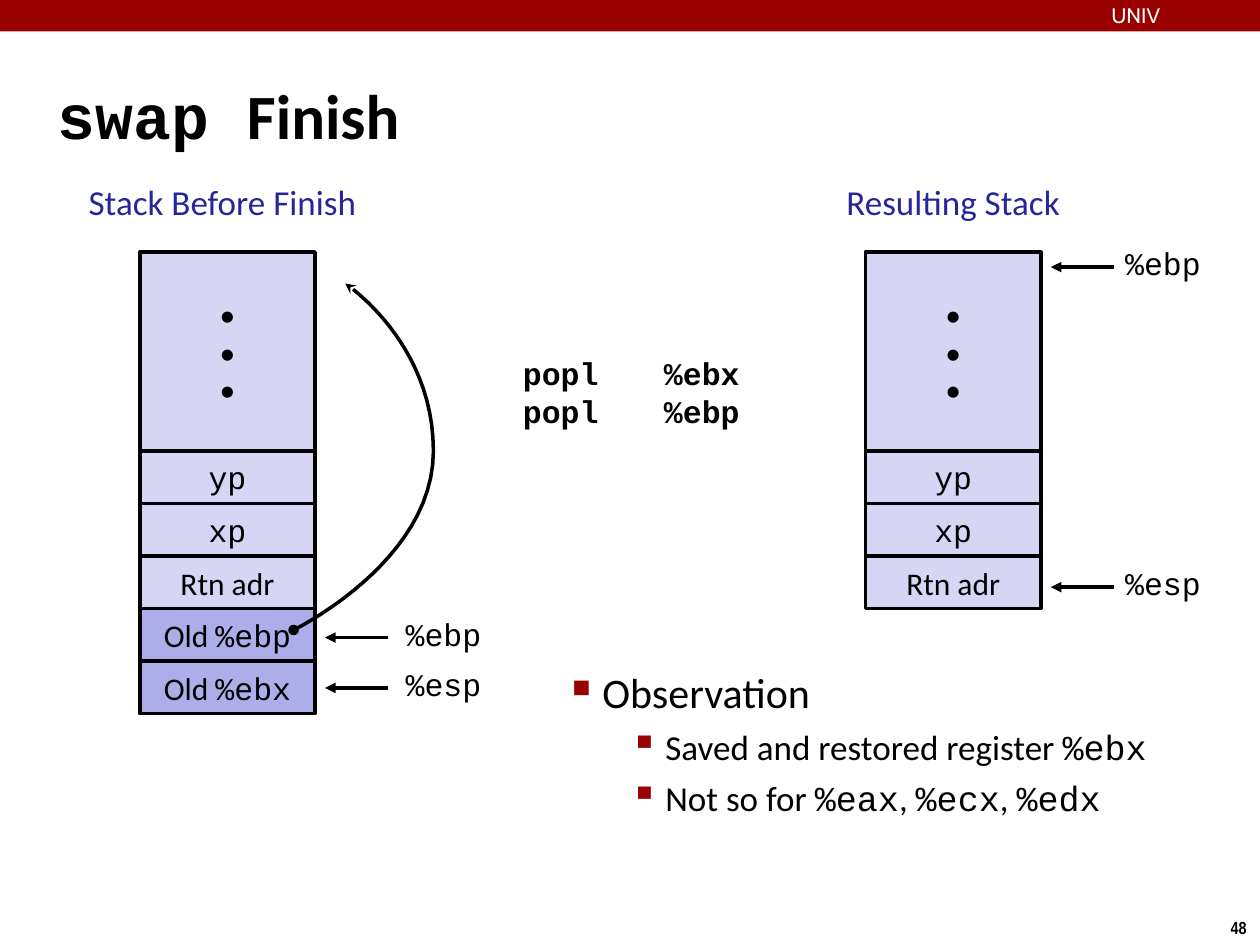
import pptx
import pptx.util
import pptx.dml.color
import pptx.enum.shapes
import pptx.enum.text
import pptx.oxml.ns
import lxml.etree

Inches = pptx.util.Inches
Pt = pptx.util.Pt
RGBColor = pptx.dml.color.RGBColor
Align = pptx.enum.text.PP_ALIGN
Anchor = pptx.enum.text.MSO_ANCHOR
qn = pptx.oxml.ns.qn

BLACK = RGBColor(0, 0, 0)
WHITE = RGBColor(255, 255, 255)
RED = RGBColor(0x99, 0, 0)
BLUE = RGBColor(0x26, 0x26, 0x99)
PALE = RGBColor(0xD6, 0xD6, 0xF4)
LILAC = RGBColor(0xAD, 0xAD, 0xEA)
SANS = "Calibri"
MONO = "Courier New"
ROW_HEIGHT = 0.417
TOP_HEIGHT = 1.58
STACK_WIDTH = 1.39
ARGUMENTS = [("yp", MONO, PALE), ("xp", MONO, PALE), ("Rtn adr", SANS, PALE)]


def add_element(parent, tag, **attributes):
    element = lxml.etree.SubElement(parent, qn(tag))
    for name, value in attributes.items():
        element.set(name, str(value))
    return element


def write_text(shape, paragraphs, font=SANS, size=18, color=BLACK, bold=False,
               align=Align.LEFT, anchor=Anchor.TOP, inset=0, wrap=True):
    frame = shape.text_frame
    frame.word_wrap = wrap
    frame.vertical_anchor = anchor
    frame.margin_left = frame.margin_right = Inches(inset)
    frame.margin_top = frame.margin_bottom = Inches(inset)
    for index, runs in enumerate(paragraphs):
        paragraph = frame.paragraphs[0] if index == 0 else frame.add_paragraph()
        paragraph.alignment = align
        for part in [runs] if isinstance(runs, str) else runs:
            text, face = (part, font) if isinstance(part, str) else part
            run = paragraph.add_run()
            run.text = text
            run.font.name = face
            run.font.size = Pt(size)
            run.font.bold = bold
            run.font.color.rgb = color
    return frame.paragraphs


def add_text(slide, left, top, width, height, paragraphs, **text_format):
    shape = slide.shapes.add_textbox(
        Inches(left), Inches(top), Inches(width), Inches(height))
    return write_text(shape, paragraphs, **text_format)


def set_indent(paragraph, margin, hanging):
    properties = paragraph._p.get_or_add_pPr()
    properties.set("marL", str(Inches(margin)))
    properties.set("indent", str(-Inches(hanging)))
    return properties


def set_line(shape, head=None, tail=None):
    shape.line.color.rgb = BLACK
    shape.line.width = Pt(2)
    line = shape._element.spPr.find(qn("a:ln"))
    for tag, kind in (("a:headEnd", head), ("a:tailEnd", tail)):
        if kind:
            add_element(line, tag, type=kind)


def add_box(slide, left, top, width, height, color):
    shape = slide.shapes.add_shape(
        pptx.enum.shapes.MSO_SHAPE.RECTANGLE,
        Inches(left), Inches(top), Inches(width), Inches(height))
    shape.shadow.inherit = False
    shape.fill.solid()
    shape.fill.fore_color.rgb = color
    shape.line.fill.background()
    return shape


def add_header(slide, width):
    add_box(slide, 0, 0, width, 0.25, RED)
    add_text(slide, width - 1.18, 0.02, 1.44, 0.19, ["UNIV"],
             font="Cabin", size=12, color=WHITE)


def add_title(slide, left, top, width, height):
    paragraphs = add_text(slide, left, top, width, height,
                          [[("swap ", MONO), "Finish"]], size=36, bold=True,
                          anchor=Anchor.MIDDLE, inset=0.04)
    set_indent(paragraphs[0], 0.13, 0.13)


def add_stack(slide, left, top, heading, heading_left, rows):
    add_text(slide, heading_left, top - 0.61, 2.27, 0.42, [heading], size=20,
             color=BLUE, align=Align.CENTER, inset=0.04)
    cells = [(top, TOP_HEIGHT, ["•"] * 3, SANS, PALE)]
    for index, (text, font, color) in enumerate(rows):
        cell_top = top + TOP_HEIGHT + index * ROW_HEIGHT
        cells.append((cell_top, ROW_HEIGHT, [text], font, color))
    for cell_top, height, paragraphs, font, color in cells:
        shape = add_box(slide, left, cell_top, STACK_WIDTH, height, color)
        set_line(shape)
        write_text(shape, paragraphs, font=font, align=Align.CENTER,
                   anchor=Anchor.MIDDLE)


def add_pointer(slide, left, middle, register, gap):
    arrow = slide.shapes.add_connector(
        pptx.enum.shapes.MSO_CONNECTOR.STRAIGHT, Inches(left + 0.5),
        Inches(middle), Inches(left), Inches(middle))
    set_line(arrow, tail="triangle")
    add_element(arrow._element.spPr, "a:effectLst")
    add_text(slide, left + 0.5 + gap, middle - 0.18, 0.7, 0.36, [register],
             font=MONO, align=Align.CENTER, wrap=False)


def bezier_points(start, control_one, control_two, end, steps=24):
    for step in range(1, steps + 1):
        t = step / steps
        weights = ((1 - t) ** 3, 3 * t * (1 - t) ** 2, 3 * t * t * (1 - t), t ** 3)
        corners = (start, control_one, control_two, end)
        yield tuple(Inches(sum(weight * corner[axis] for weight, corner
                               in zip(weights, corners))) for axis in (0, 1))


def add_saved_link(slide, left, top, width, height):
    start = (left, top + height)
    bend = (left + width, top + 1.33)
    end = (left + 0.41, top)
    builder = slide.shapes.build_freeform(Inches(start[0]), Inches(start[1]))
    lower = bezier_points(start, start, (bend[0], top + 2.21), bend)
    upper = bezier_points(bend, (bend[0], top + 0.46), end, end)
    builder.add_line_segments([*lower, *upper], close=False)
    shape = builder.convert_to_shape()
    shape.shadow.inherit = False
    shape.fill.background()
    set_line(shape, head="oval", tail="stealth")


def add_code(slide, left, top, width, height):
    paragraphs = add_text(slide, left, top, width, height,
                          ["\tpopl\t%ebx", "\tpopl\t%ebp"], font=MONO, bold=True)
    for paragraph in paragraphs:
        tabs = add_element(paragraph._p.get_or_add_pPr(), "a:tabLst")
        for position in (0.5, 1.62, 3.44):
            add_element(tabs, "a:tab", pos=Inches(position), algn="l")


def add_observation(slide, left, top, width, height):
    registers = ["Not so for ", ("%eax", MONO), ", ", ("%ecx", MONO), ", ",
                 ("%edx", MONO)]
    paragraphs = add_text(
        slide, left, top, width, height,
        ["Observation", ["Saved and restored register ", ("%ebx", MONO)], registers],
        size=20, inset=0.04)
    paragraphs[0].runs[0].font.size = Pt(24)
    for index, paragraph in enumerate(paragraphs):
        paragraph.level = min(index, 1)
        margin, hanging, before, scale, bullet = (
            (0.74, 0.28, 5, 110, "▪") if index else (0.24, 0.24, 6, 60, "■"))
        paragraph.space_before = Pt(before)
        properties = set_indent(paragraph, margin, hanging)
        add_element(add_element(properties, "a:buClr"), "a:srgbClr", val=RED)
        add_element(properties, "a:buSzPct", val=scale * 1000)
        add_element(properties, "a:buChar", char=bullet)


def main():
    presentation = pptx.Presentation()
    presentation.slide_width = Inches(10)
    presentation.slide_height = Inches(7.5)
    slide = presentation.slides.add_slide(presentation.slide_layouts[6])
    add_header(slide, 10)
    add_title(slide, 0.42, 0.28, 9.17, 1.25)
    add_code(slide, 3.65, 2.81, 3.43, 1.19)
    saved = [(["Old ", (register, MONO)], SANS, LILAC)
             for register in ("%ebp", "%ebx")]
    add_stack(slide, 1.11, 2, "Stack Before Finish", 0.63, ARGUMENTS + saved)
    add_stack(slide, 6.87, 2, "Resulting Stack", 6.43, ARGUMENTS)
    for left, middle, register, gap in (
            (2.58, 5.06, "%ebp", 0.09), (2.58, 5.46, "%esp", 0.09),
            (8.34, 2.12, "%ebp", 0.04), (8.34, 4.66, "%esp", 0.04)):
        add_pointer(slide, left, middle, register, gap)
    add_saved_link(slide, 2.33, 2.25, 1.11, 2.75)
    add_observation(slide, 4.5, 5.25, 5.25, 1.61)
    add_text(slide, 9.66, 7.23, 0.34, 0.27, ["48"], font="Arial Narrow", size=10,
             bold=True, align=Align.CENTER, inset=0.05, wrap=False)
    presentation.save("out.pptx")


if __name__ == "__main__":
    main()
